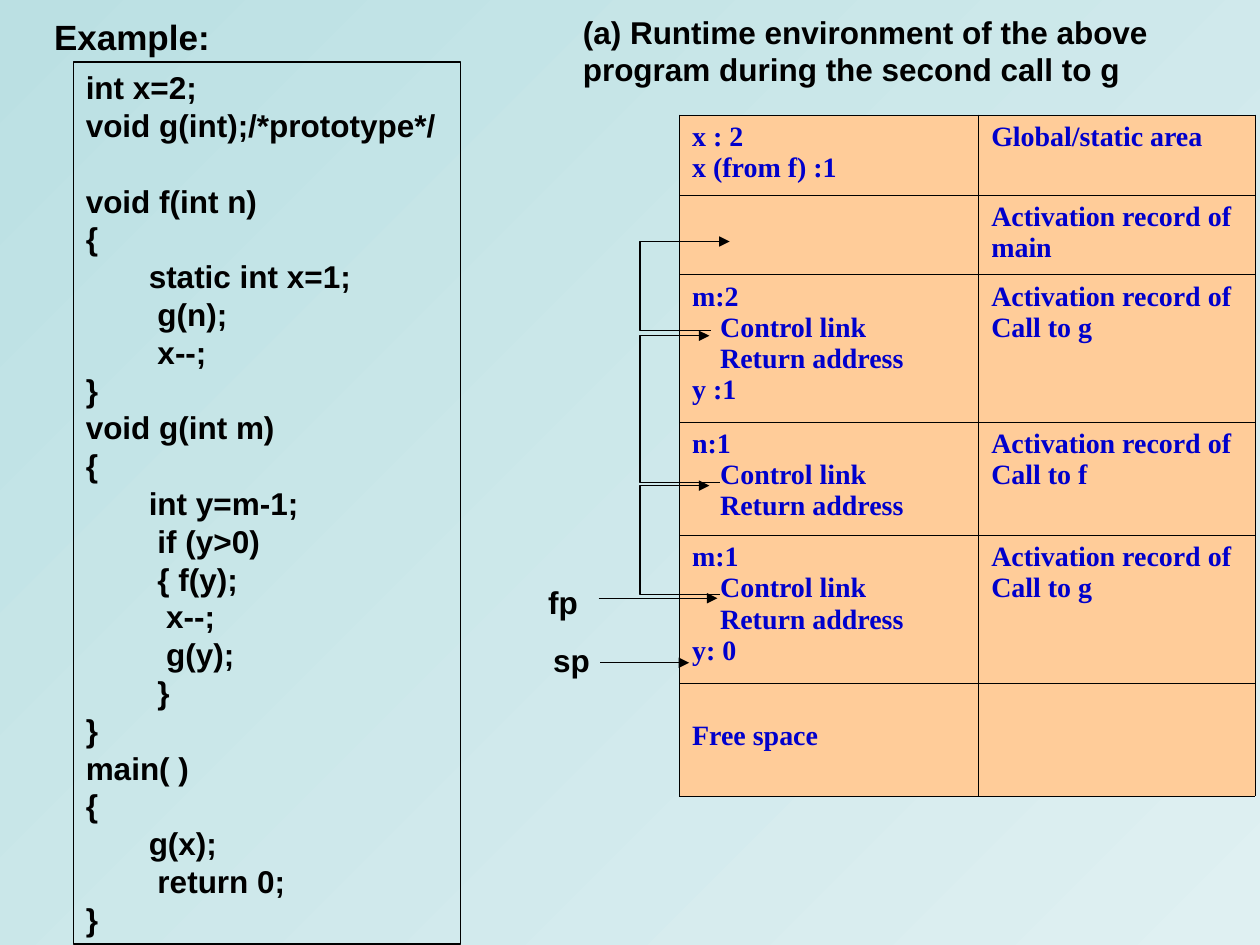
from dataclasses import dataclass

from pptx import Presentation, util as u
from pptx.dml import color
from pptx.enum import shapes, text
from pptx.oxml import ns, xmlchemy

BLACK, BLUE, PEACH = "000000", "0000CC", "FFCC99"
LINE_WIDTH, BORDER_WIDTH = u.Pt(0.75), u.Pt(0.45)
CODE_SIZE = 18
LINE_FACTOR = 1.2
LINK_LEFT = 12.9

CODE = """int x=2;
void g(int);/*prototype*/

void f(int n)
{
\tstatic int x=1;
\t g(n);
\t x--;
}
void g(int m)
{
\tint y=m-1;
\t if (y>0)
\t { f(y);
\t  x--;
\t  g(y);
\t }
}
main( )
{
\tg(x);
\t return 0;
}"""


@dataclass
class Label:
    words: str
    left: float
    top: float
    width: float
    height: float
    size: float = 18


@dataclass
class Record:
    height: float
    contents: list[str]
    area: list[str]


@dataclass
class ControlLink:
    start_x: float
    start_y: float
    end_x: float
    end_y: float


@dataclass
class Pointer:
    label: Label
    start_x: float
    end_x: float
    y: float


LABELS = [
    Label("Example:", 0.84, 0.18, 11.99, 1.1, size=20),
    Label("(a) Runtime environment of the above program during the second call to g",
          11.5, 0.13, 13.8, 1.78),
]
LINKED = ["Control link", "Return address"]
ACTIVATION = "Activation record of"
RECORDS = [
    Record(1.61, ["x : 2", "x (from f) :1"], ["Global/static area"]),
    Record(1.61, [], [ACTIVATION, "main"]),
    Record(2.97, ["m:2", *LINKED, "y :1"], [ACTIVATION, "Call to g"]),
    Record(2.28, ["n:1", *LINKED], [ACTIVATION, "Call to f"]),
    Record(2.97, ["m:1", *LINKED, "y: 0"], [ACTIVATION, "Call to g"]),
    Record(2.28, ["Free space"], []),
]
LINKS = [
    ControlLink(14.33, 6.67, 14.71, 4.87),
    ControlLink(14.51, 9.73, 14.3, 6.77),
    ControlLink(14.51, 11.98, 14.3, 9.79),
]
POINTERS = [
    Pointer(Label("fp", 10.8, 11.63, 1.4, 1.02), 12.07, 14.46, 12.06),
    Pointer(Label("sp", 10.9, 12.8, 1.4, 1.02), 12.1, 13.89, 13.36),
]


def rgb(value: str) -> color.RGBColor:
    return color.RGBColor.from_string(value)


def add_line(frame, words: str, *, first: bool, size: float, font: str, ink: str,
             spacing: float | None = None, before: float = 0, indent: float = 0) -> None:
    para = frame.paragraphs[0] if first else frame.add_paragraph()
    para.alignment = text.PP_ALIGN.LEFT
    if indent:
        para._p.get_or_add_pPr().set("marL", str(u.Pt(indent)))
    if spacing:
        para.line_spacing = u.Pt(spacing)
    if before:
        para.space_before = u.Pt(before)
    span = para.add_run()
    span.text = words
    span.font.size, span.font.name, span.font.bold = u.Pt(size), font, True
    span.font.color.rgb = rgb(ink)


def add_label(page, label: Label) -> None:
    box = page.shapes.add_textbox(u.Cm(label.left), u.Cm(label.top),
                                  u.Cm(label.width), u.Cm(label.height))
    box.text_frame.word_wrap = True
    add_line(box.text_frame, label.words, first=True, size=label.size, font="Arial",
             ink=BLACK, spacing=label.size * LINE_FACTOR)


def add_code(page) -> None:
    box = page.shapes.add_shape(shapes.MSO_SHAPE.RECTANGLE,
                                u.Cm(1.48), u.Cm(1.25), u.Cm(7.8), u.Cm(17.78))
    box.shadow.inherit = False
    box.fill.background()
    box.line.color.rgb, box.line.width = rgb(BLACK), LINE_WIDTH
    frame = box.text_frame
    frame.word_wrap, frame.vertical_anchor = True, text.MSO_ANCHOR.TOP
    pitch = CODE_SIZE * LINE_FACTOR
    # A blank code line becomes space before the next block
    for block_number, block in enumerate(CODE.split("\n\n")):
        for number, words in enumerate(block.split("\n")):
            add_line(frame, words, first=block_number + number == 0, size=CODE_SIZE,
                     font="Arial", ink=BLACK, spacing=pitch,
                     before=pitch if block_number and number == 0 else 0)


def set_borders(cell) -> None:
    properties = cell._tc.get_or_add_tcPr()
    for number, side in enumerate(("lnL", "lnR", "lnT", "lnB")):
        border = xmlchemy.OxmlElement(f"a:{side}")
        border.set("w", str(BORDER_WIDTH))
        fill = xmlchemy.OxmlElement("a:solidFill")
        ink = xmlchemy.OxmlElement("a:srgbClr")
        ink.set("val", BLACK)
        fill.append(ink)
        border.append(fill)
        properties.insert(number, border)


def add_stack(page) -> None:
    widths = (6.03, 5.57)
    height = sum(record.height for record in RECORDS)
    table = page.shapes.add_table(len(RECORDS), len(widths), u.Cm(13.7), u.Cm(2.32),
                                  u.Cm(sum(widths)), u.Cm(height)).table
    table.first_row = table.horz_banding = False
    for column, width in zip(table.columns, widths):
        column.width = u.Cm(width)
    for row, record in zip(table.rows, RECORDS):
        row.height = u.Cm(record.height)
        for cell, lines in zip(row.cells, (record.contents, record.area)):
            cell.fill.solid()
            cell.fill.fore_color.rgb = rgb(PEACH)
            set_borders(cell)
            for number, words in enumerate(lines):
                add_line(cell.text_frame, words, first=number == 0, size=16,
                         font="Times New Roman", ink=BLUE,
                         indent=16 if words in LINKED else 0)
    # Free space sits one line lower in its row
    table.cell(len(RECORDS) - 1, 0).margin_top = u.Cm(0.75)


def style_arrow(arrow) -> None:
    arrow.line.color.rgb, arrow.line.width = rgb(BLACK), LINE_WIDTH
    head = xmlchemy.OxmlElement("a:tailEnd")
    head.set("type", "triangle")
    arrow.line._get_or_add_ln().append(head)
    properties = arrow._element.spPr
    if properties.find(ns.qn("a:effectLst")) is None:
        properties.append(xmlchemy.OxmlElement("a:effectLst"))


def add_link(page, link: ControlLink) -> None:
    builder = page.shapes.build_freeform(u.Cm(link.start_x), u.Cm(link.start_y))
    corners = [(LINK_LEFT, link.start_y), (LINK_LEFT, link.end_y), (link.end_x, link.end_y)]
    builder.add_line_segments([(u.Cm(x), u.Cm(y)) for x, y in corners], close=False)
    arrow = builder.convert_to_shape()
    arrow.fill.background()
    style_arrow(arrow)


def add_pointer(page, pointer: Pointer) -> None:
    y = u.Cm(pointer.y)
    style_arrow(page.shapes.add_connector(shapes.MSO_CONNECTOR.STRAIGHT,
                                          u.Cm(pointer.start_x), y, u.Cm(pointer.end_x), y))
    add_label(page, pointer.label)


def main() -> None:
    deck = Presentation()
    deck.slide_width, deck.slide_height = u.Cm(25.4), u.Cm(19.05)
    page = deck.slides.add_slide(deck.slide_layouts[6])

    # Background
    backdrop = page.background.fill
    backdrop.gradient()
    backdrop.gradient_angle = 315
    for stop, shade in zip(backdrop.gradient_stops, ("BBE0E3", "DFF0F2")):
        stop.color.rgb = rgb(shade)

    # Headings, program and runtime stack
    for label in LABELS:
        add_label(page, label)
    add_code(page)
    add_stack(page)

    # Control links and stack pointers
    for link in LINKS:
        add_link(page, link)
    for pointer in POINTERS:
        add_pointer(page, pointer)

    deck.save("out.pptx")


if __name__ == "__main__":
    main()
